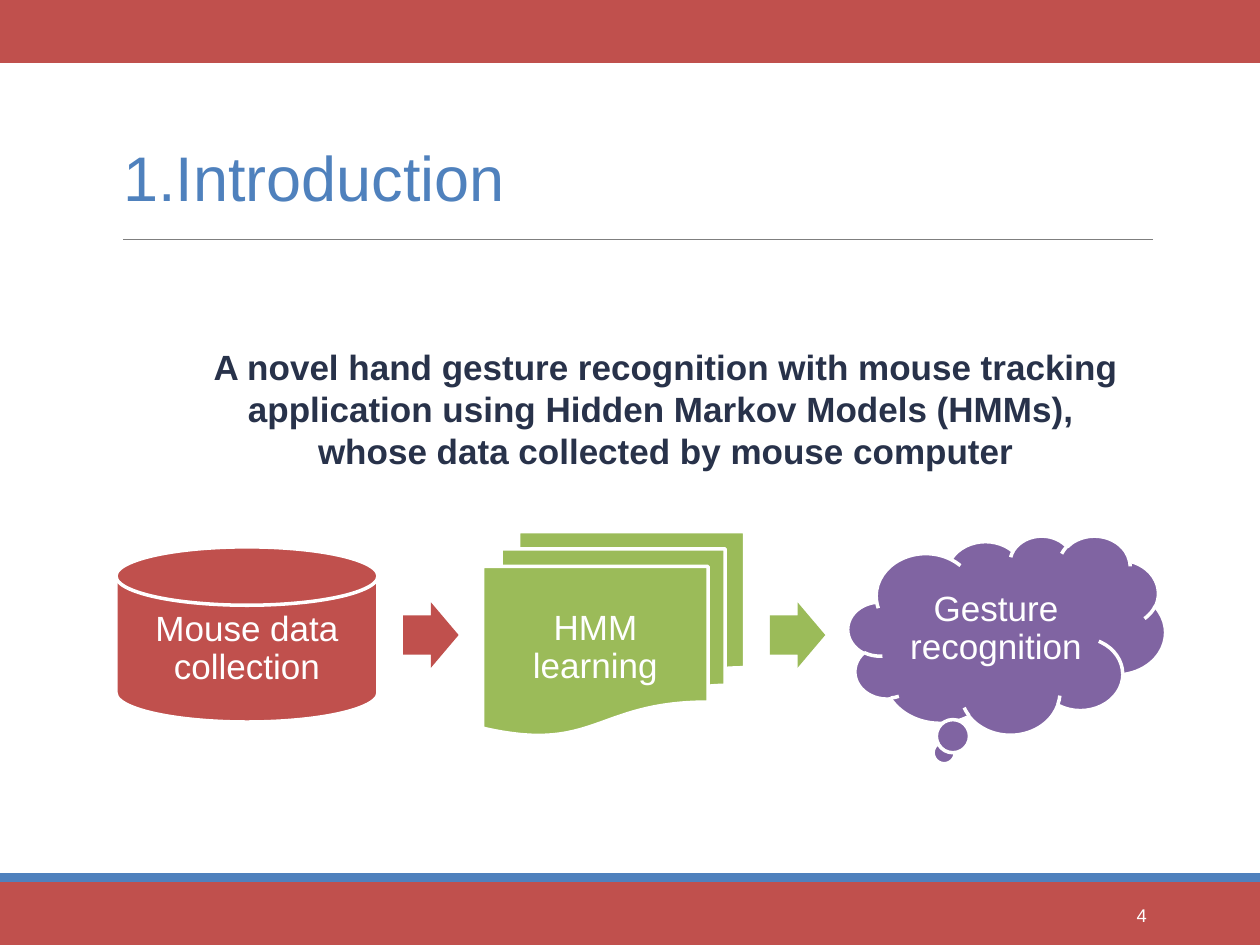
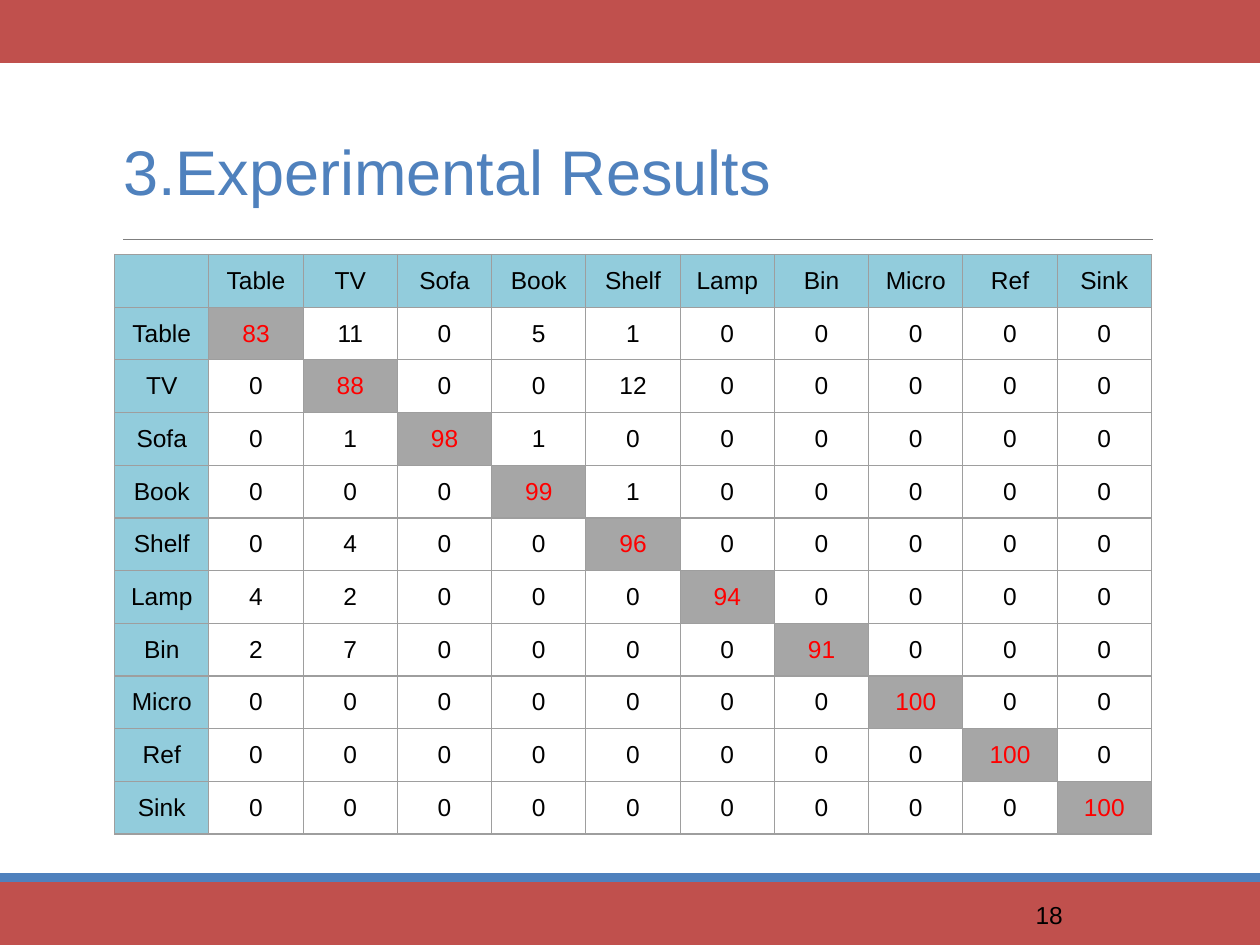
"""Build two slides on gesture recognition: a process flow and a result table."""
from lxml.etree import SubElement as Sub
from pptx import Presentation as Deck
from pptx.dml.color import RGBColor as Color
from pptx.enum.shapes import MSO_CONNECTOR as Link, MSO_SHAPE as Form
from pptx.enum.text import MSO_ANCHOR as Anchor, MSO_AUTO_SIZE as Auto, PP_ALIGN as Align
from pptx.oxml.ns import qn
from pptx.util import Emu, Inches, Pt

RED, BLUE, GREEN, PURPLE = "C0504D", "4F81BD", "9BBB59", "8064A2"
WHITE, BLACK, NAVY, RULE = "FFFFFF", "000000", "28324A", "7F7F7F"
HEAD, HIT, MARK, GRID = "92CCDC", "A6A6A6", "FF0000", "9E9E9E"

NAMES = "Table TV Sofa Book Shelf Lamp Bin Micro Ref Sink".split()
RATES = """
83 11 0 5 1 0 0 0 0 0
0 88 0 0 12 0 0 0 0 0
0 1 98 1 0 0 0 0 0 0
0 0 0 99 1 0 0 0 0 0
0 4 0 0 96 0 0 0 0 0
4 2 0 0 0 94 0 0 0 0
2 7 0 0 0 0 91 0 0 0
0 0 0 0 0 0 0 100 0 0
0 0 0 0 0 0 0 0 100 0
0 0 0 0 0 0 0 0 0 100
"""


def rgb(code):
    return Color.from_string(code)


def apply(item, values):
    for name, value in values.items():
        setattr(item, name, value)


def place(box):
    return [Inches(n) for n in box]


class Page:
    font = "Arial"

    def __init__(self, deck, title, pad, number, **look):
        self.slide = deck.slides.add_slide(deck.slide_layouts[5])
        self.shapes = self.slide.shapes
        self.frame()
        self.title(title, pad)
        look = {"pad": (0.1, 0.05), "anchor": Anchor.MIDDLE} | look
        self.text((8.12, 7.06, 1.08, 0.4), number, **look)

    def frame(self):
        self.shape(Form.RECTANGLE, (0, 7, 10, 0.5), RED)
        self.shape(Form.RECTANGLE, (0, 6.93, 10, 0.07), BLUE)
        self.line((0.98, 1.9, 9.15, 1.9), RULE, 0.75)
        self.shape(Form.RECTANGLE, (0, 0, 10, 0.5), RED)

    def words(self, frame, text, size, color, align=Align.LEFT, bold=False, lead=None):
        frame.text = text
        for para in frame.paragraphs:
            apply(para, {"alignment": align, "line_spacing": lead})
            for run in para.runs:
                apply(run.font, {"name": self.font, "size": Pt(size), "bold": bold})
                run.font.color.rgb = rgb(color)

    def fit(self, frame, pad, anchor):
        wide, high = place(pad)
        apply(frame, {"margin_left": wide, "margin_right": wide, "margin_top": high,
                      "margin_bottom": high, "word_wrap": True,
                      "auto_size": Auto.NONE, "vertical_anchor": anchor})

    def title(self, text, pad):
        head = self.shapes.title
        apply(head, dict(zip(("left", "top", "width", "height"),
                             place((0.88, 0.9, 8.3, 0.85)))))
        self.fit(head.text_frame, pad, Anchor.BOTTOM)
        self.words(head.text_frame, text, 36, BLUE, lead=0.85)

    def text(self, box, text, size, color, pad=(0.1, 0.1), anchor=Anchor.TOP, **look):
        frame = self.shapes.add_textbox(*place(box)).text_frame
        self.fit(frame, pad, anchor)
        self.words(frame, text, size, color, **look)

    def shape(self, form, box, fill, edge=None, tune=()):
        item = self.shapes.add_shape(form, *place(box))
        item.shadow.inherit = False
        item.fill.solid()
        item.fill.fore_color.rgb = rgb(fill)
        if edge:
            item.line.color.rgb = rgb(edge)
            item.line.width = Pt(2)
        else:
            item.line.fill.background()
        for spot, value in enumerate(tune):
            item.adjustments[spot] = value

    def line(self, ends, color, width):
        item = self.shapes.add_connector(Link.STRAIGHT, *place(ends))
        item.line.color.rgb = rgb(color)
        item.line.width = Pt(width)
        Sub(item.element.spPr, qn("a:effectLst"))

    def step(self, form, box, fill, label, area):
        self.shape(form, box, fill, WHITE)
        self.text(area, label, 20, WHITE, (0.08, 0.08), Anchor.MIDDLE,
                  align=Align.CENTER, lead=0.9)

    def arrow(self, left, fill):
        self.shape(Form.RIGHT_ARROW, (left, 4.78, 0.44, 0.52), fill, tune=(0.6, 0.5))

    def cell(self, cell, text, fill, color):
        props = cell._tc.get_or_add_tcPr()
        for side in ("lnL", "lnR", "lnT", "lnB"):
            edge = Sub(props, qn(f"a:{side}"), w=str(Pt(0.75)))
            Sub(Sub(edge, qn("a:solidFill")), qn("a:srgbClr"), val=GRID)
        cell.fill.solid()
        cell.fill.fore_color.rgb = rgb(fill)
        apply(cell, {"margin_top": Inches(0.05), "margin_bottom": Inches(0.05),
                     "vertical_anchor": Anchor.MIDDLE})
        self.words(cell.text_frame, text, 14, color, Align.CENTER)

    def table(self, box, rows):
        count = len(rows)
        grid = self.shapes.add_table(count, count, *place(box)).table
        apply(grid, {"first_row": False, "horz_banding": False})
        for col in grid.columns:
            col.width = Emu(Inches(box[2]) // count)
        for row in grid.rows:
            row.height = Emu(Inches(box[3]) // count)
        for i, row in enumerate(rows):
            for j, text in enumerate(row):
                if i == 0 or j == 0:
                    fill, color = HEAD, BLACK
                elif i == j:
                    fill, color = HIT, MARK
                else:
                    fill, color = WHITE, BLACK
                self.cell(grid.cell(i, j), text, fill, color)


def intro(deck):
    page = Page(deck, "1.Introduction", (0.1, 0.05), "4",
                size=10.5, color=WHITE, align=Align.RIGHT)
    page.text((1.08, 2.64, 8.41, 0.93),
              "A novel hand gesture recognition with mouse tracking application "
              "using Hidden Markov Models (HMMs), \n"
              "whose data collected by mouse computer",
              20, NAVY, align=Align.CENTER, bold=True)
    page.step(Form.FLOWCHART_MAGNETIC_DISK, (0.92, 4.34, 2.08, 1.39), RED,
              "Mouse data collection", (0.92, 4.8, 2.08, 0.7))
    page.arrow(3.2, RED)
    page.step(Form.FLOWCHART_MULTIDOCUMENT, (3.83, 4.22, 2.08, 1.62), GREEN,
              "HMM learning", (3.83, 4.5, 1.79, 1.29))
    page.arrow(6.11, GREEN)
    page.step(Form.CLOUD_CALLOUT, (6.73, 4.25, 2.52, 1.58), PURPLE,
              "Gesture recognition", (7.08, 4.48, 1.65, 1.03))


def results(deck):
    page = Page(deck, "3.Experimental Results", (0.1, 0.1), "18", size=14, color=BLACK)
    rates = [line.split() for line in RATES.strip().splitlines()]
    rows = [["", *NAMES]] + [[name, *row] for name, row in zip(NAMES, rates)]
    page.table((0.91, 2.02, 8.23, 4.6), rows)


def main():
    deck = Deck()
    apply(deck, {"slide_width": Inches(10), "slide_height": Inches(7.5)})
    intro(deck)
    results(deck)
    deck.save("out.pptx")


if __name__ == "__main__":
    main()
